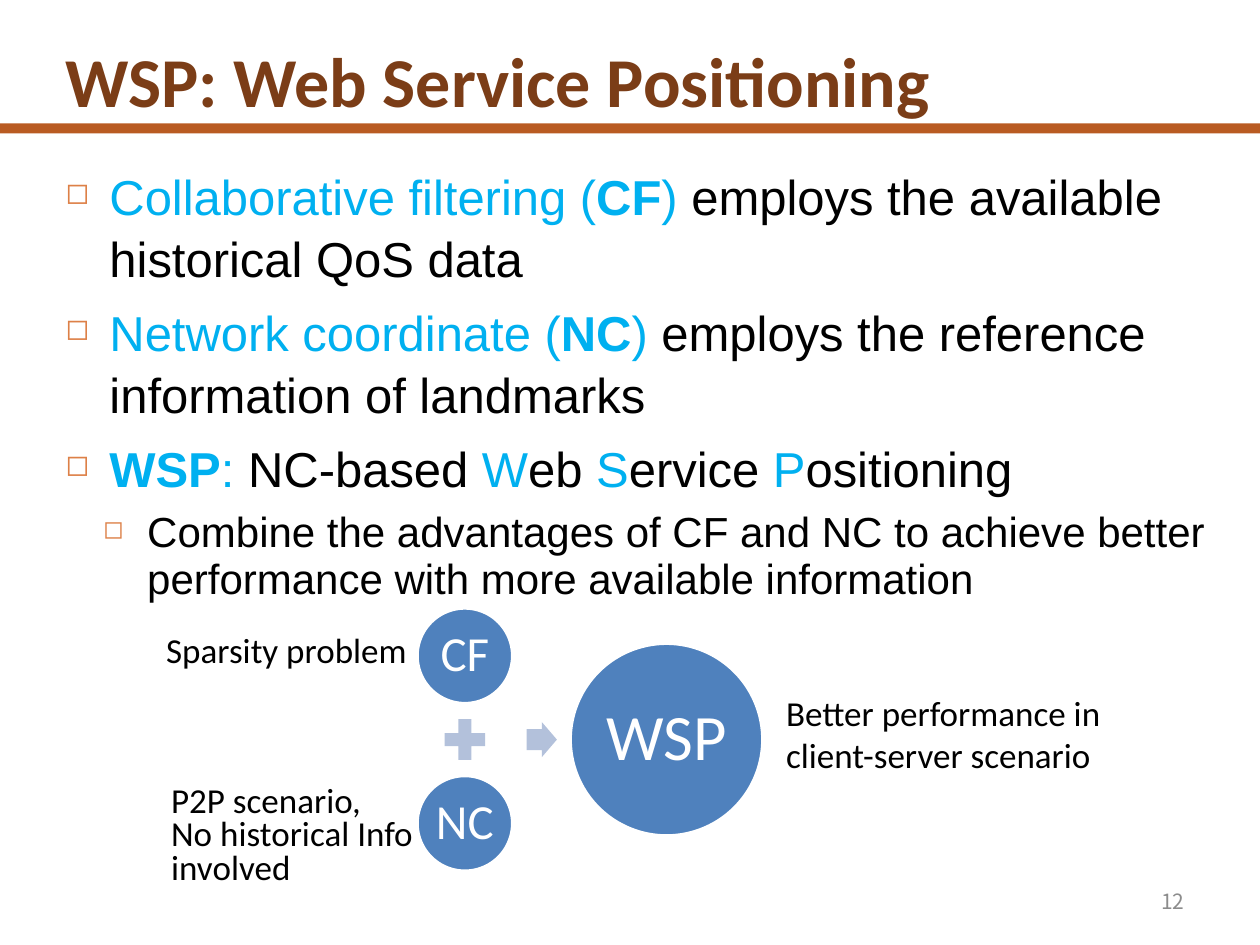
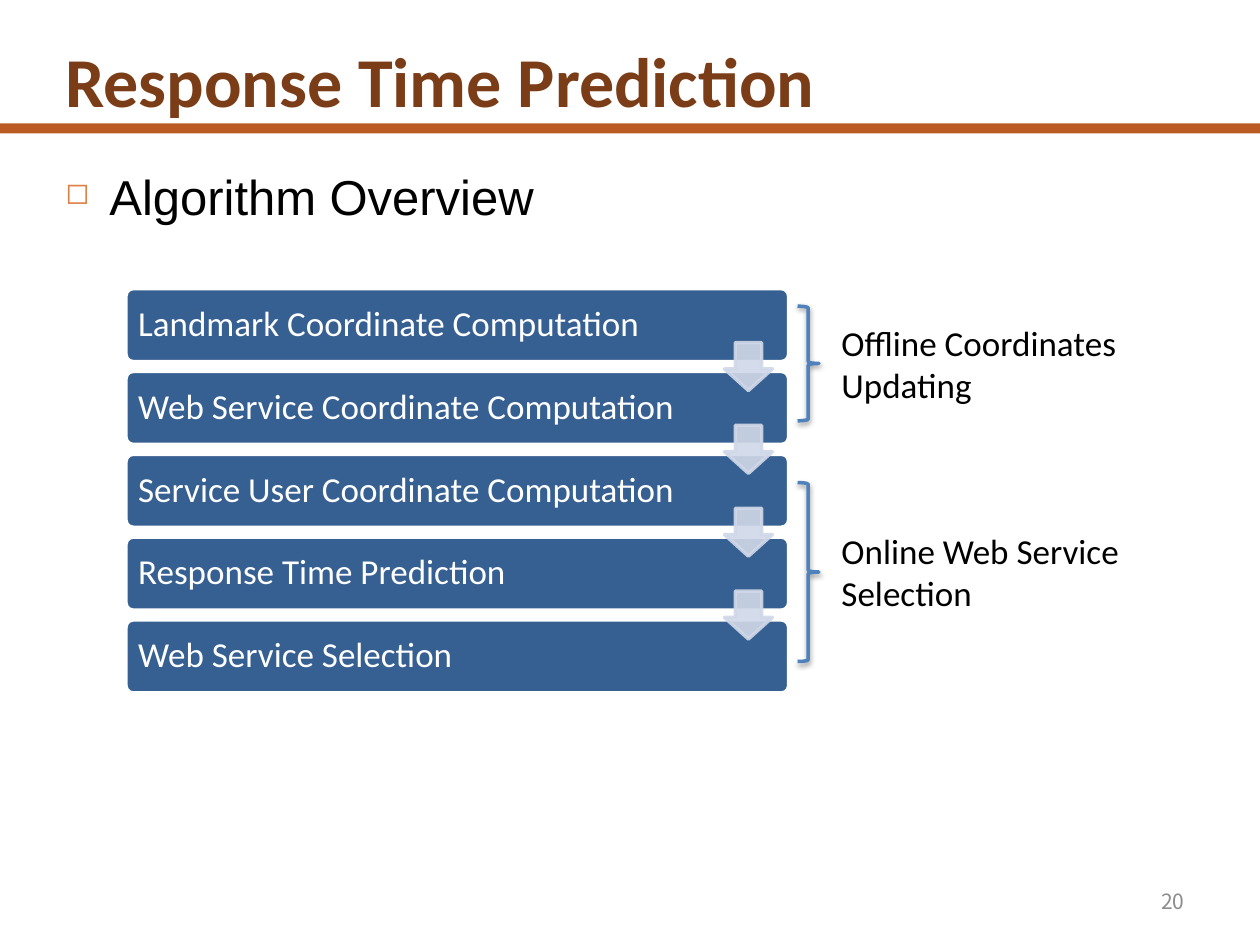
import pptx
import pptx.util
import pptx.dml.color
import pptx.enum.shapes
import pptx.enum.text
import pptx.oxml.ns
from lxml import etree

RGB = pptx.dml.color.RGBColor
Inches, Pt = pptx.util.Inches, pptx.util.Pt
SHAPE = pptx.enum.shapes.MSO_SHAPE
ALIGN = pptx.enum.text.PP_ALIGN
ANCHOR = pptx.enum.text.MSO_ANCHOR
qn = pptx.oxml.ns.qn

BLACK, WHITE = RGB(0, 0, 0), RGB(255, 255, 255)
BROWN, RUST, BULLET_ORANGE = RGB(0x7B, 0x3D, 0x17), RGB(0xB9, 0x5B, 0x22), RGB(0xDD, 0x80, 0x47)
CYAN, NUMBER_GREY = RGB(0, 0xB0, 0xF0), RGB(0x8C, 0x8C, 0x8C)
CIRCLE_BLUE, SIGN_BLUE = RGB(0x4F, 0x81, 0xBD), RGB(0xB3, 0xC1, 0xDB)
STEP_BLUE, ARROW_BLUE = RGB(0x37, 0x60, 0x92), RGB(0xD0, 0xD8, 0xE8)

WIDTH, HEIGHT = 10, 7.5
MARGIN, BODY_WIDTH = 0.42, 9.25
HANGING = 0.35

# Run styles: colour, bold
PLAIN, KEY, KEY_BOLD = (BLACK, False), (CYAN, False), (CYAN, True)
# Outline levels: text indent, size, line spacing
LEVELS = {1: (0.35, 28, 1.05), 2: (0.65, 24, 0.94)}

POSITIONING = {
    "title": "WSP: Web Service Positioning",
    "number": "12",
    "outline": [
        (1, [("Collaborative filtering (", KEY), ("CF", KEY_BOLD), (") ", KEY),
             ("employs the available historical QoS data", PLAIN)]),
        (1, [("Network coordinate (", KEY), ("NC", KEY_BOLD), (") ", KEY),
             ("employs the reference information of landmarks", PLAIN)]),
        (1, [("WSP", KEY_BOLD), (": ", KEY), ("NC-based ", PLAIN),
             ("W", KEY), ("eb ", PLAIN), ("S", KEY), ("ervice ", PLAIN),
             ("P", KEY), ("ositioning", PLAIN)]),
        (2, [("Combine the advantages of CF and NC to achieve better "
              "performance with more available information", PLAIN)]),
    ],
}
PREDICTION = {
    "title": "Response Time Prediction",
    "number": "20",
    "outline": [(1, [("Algorithm Overview", PLAIN)])],
}

# Equation diagram: centre line, column of inputs, then the result
EQUATION_Y, INPUT_X, INPUT_STEP = 5.87, 3.69, 0.665
INPUTS = ["CF", "NC"]
RESULT = "WSP"
REMARKS = [  # text, left, top, width, height, line spacing
    ("Sparsity problem", 1.22, 4.94, 2.33, 0.44, 1.0),
    ("P2P scenario,\nNo historical Info involved", 1.26, 6.19, 2.42, 0.91, 0.8),
    ("Better performance in client-server scenario", 6.14, 5.44, 3.08, 0.77, 1.0),
]

STEPS = [
    "Landmark Coordinate Computation",
    "Web Service Coordinate Computation",
    "Service User Coordinate Computation",
    "Response Time Prediction",
    "Web Service Selection",
]
STEP_LEFT, STEP_TOP, STEP_WIDTH, STEP_HEIGHT, STEP_PITCH = 1, 2.29, 5.26, 0.58, 0.6575
PHASES = [  # label, brace top, brace height
    ("Offline Coordinates Updating", 2.43, 0.91),
    ("Online Web Service Selection", 3.83, 1.42),
]


def style(paragraph, size, color, font="Calibri", bold=False):
    for run in paragraph.runs:
        run.font.size, run.font.name, run.font.bold = Pt(size), font, bold
        run.font.color.rgb = color


def add_text(slide, text, box, size, color, font="Calibri", bold=False,
             anchor=ANCHOR.TOP, align=ALIGN.LEFT, spacing=1.0):
    frame = slide.shapes.add_textbox(*map(Inches, box)).text_frame
    frame.word_wrap = True
    frame.vertical_anchor = anchor
    frame.text = text
    for paragraph in frame.paragraphs:
        paragraph.alignment = align
        paragraph.line_spacing = spacing
        style(paragraph, size, color, font, bold)


def add_figure(slide, kind, box, fill=None, line=None, adjust=()):
    figure = slide.shapes.add_shape(kind, *map(Inches, box))
    figure.shadow.inherit = False
    for index, value in enumerate(adjust):
        figure.adjustments[index] = value
    if fill is None:
        figure.fill.background()
    else:
        figure.fill.solid()
        figure.fill.fore_color.rgb = fill
    if line is None:
        figure.line.fill.background()
    else:
        figure.line.color.rgb = line
        figure.line.width = Pt(2)
    return figure


def label(figure, text, size, inset, align):
    frame = figure.text_frame
    frame.margin_left = frame.margin_right = Inches(inset)
    frame.margin_top = frame.margin_bottom = Inches(inset)
    frame.word_wrap = False
    frame.vertical_anchor = ANCHOR.MIDDLE
    frame.text = text
    paragraph = frame.paragraphs[0]
    paragraph.alignment = align
    paragraph.line_spacing = 0.9
    style(paragraph, size, WHITE)


def centred(x, y, width, height):
    """Box with its middle at x, y."""
    return x - width / 2, y - height / 2, width, height


def set_opacity(figure, percent):
    for color in figure._element.spPr.iter(qn("a:srgbClr")):
        etree.SubElement(color, qn("a:alpha"), val=str(percent * 1000))


def drop_shadow(figure):
    effects = figure._element.spPr.find(qn("a:effectLst"))
    shadow = etree.SubElement(effects, qn("a:outerShdw"), blurRad=str(Pt(3.1)),
                              dist=str(Pt(1.6)), dir="5400000", rotWithShape="0")
    color = etree.SubElement(shadow, qn("a:srgbClr"), val=str(BLACK))
    etree.SubElement(color, qn("a:alpha"), val="38000")


def add_bullet(paragraph, indent):
    properties = paragraph._p.get_or_add_pPr()
    properties.set("marL", str(Inches(indent)))
    properties.set("indent", str(-Inches(HANGING)))
    color = etree.SubElement(properties, qn("a:buClr"))
    etree.SubElement(color, qn("a:srgbClr"), val=str(BULLET_ORANGE))
    etree.SubElement(properties, qn("a:buSzPct"), val="60000")
    etree.SubElement(properties, qn("a:buChar"), char="◻")


def add_outline(slide, outline):
    box = MARGIN, 1.25, BODY_WIDTH, 5.9
    frame = slide.shapes.add_textbox(*map(Inches, box)).text_frame
    frame.word_wrap = True
    for index, (level, parts) in enumerate(outline):
        paragraph = frame.add_paragraph() if index else frame.paragraphs[0]
        indent, size, spacing = LEVELS[level]
        paragraph.level = level - 1
        paragraph.line_spacing = spacing
        paragraph.space_before = Pt(7)
        add_bullet(paragraph, indent)
        for text, (color, bold) in parts:
            run = paragraph.add_run()
            run.text = text
            run.font.size, run.font.name, run.font.bold = Pt(size), "Arial", bold
            run.font.color.rgb = color


def start_slide(deck, content):
    """Add a slide with band, title, outline and page number."""
    slide = deck.slides.add_slide(deck.slide_layouts[6])
    add_figure(slide, SHAPE.RECTANGLE, (0, 0.98, WIDTH, 0.08), RUST)
    add_text(slide, content["title"], (MARGIN, 0.25, BODY_WIDTH, 0.77), 40, BROWN,
             bold=True, anchor=ANCHOR.MIDDLE)
    add_outline(slide, content["outline"])
    add_text(slide, content["number"], (7.17, 6.95, 2.33, 0.4), 12, NUMBER_GREY,
             "Noto Sans CJK SC", anchor=ANCHOR.MIDDLE, align=ALIGN.RIGHT)
    return slide


def add_circle(slide, text, x, y, diameter, size):
    circle = add_figure(slide, SHAPE.OVAL, centred(x, y, diameter, diameter),
                        CIRCLE_BLUE, WHITE)
    label(circle, text, size, 0.04, ALIGN.CENTER)


def draw_equation(slide):
    for side, name in zip((-1, 1), INPUTS):
        add_circle(slide, name, INPUT_X, EQUATION_Y + side * INPUT_STEP, 0.76, 28)
    add_figure(slide, SHAPE.MATH_PLUS, centred(INPUT_X, EQUATION_Y, 0.44, 0.44), SIGN_BLUE)
    add_figure(slide, SHAPE.RIGHT_ARROW, centred(4.3, EQUATION_Y, 0.24, 0.28),
               SIGN_BLUE, adjust=(0.6, 0.5))
    add_circle(slide, RESULT, 5.29, EQUATION_Y, 1.53, 37)
    for text, left, top, width, height, spacing in REMARKS:
        add_text(slide, text, (left, top, width, height), 20, BLACK, spacing=spacing)


def draw_steps(slide):
    tops = [STEP_TOP + row * STEP_PITCH for row in range(len(STEPS))]
    for top, name in zip(tops, STEPS):
        step = add_figure(slide, SHAPE.ROUNDED_RECTANGLE,
                          (STEP_LEFT, top, STEP_WIDTH, STEP_HEIGHT),
                          STEP_BLUE, WHITE, (0.1,))
        label(step, name, 20, 0.08, ALIGN.LEFT)
    gap = STEP_PITCH - STEP_HEIGHT
    for top in tops[1:]:
        arrow = add_figure(slide, SHAPE.DOWN_ARROW, centred(5.94, top - gap / 2, 0.38, 0.38),
                           ARROW_BLUE, ARROW_BLUE, (0.55, 0.45))
        set_opacity(arrow, 90)


def draw_phases(slide):
    label_height = 0.77
    for text, top, height in PHASES:
        brace = add_figure(slide, SHAPE.RIGHT_BRACE, (6.33, top, 0.17, height),
                           line=CIRCLE_BLUE)
        drop_shadow(brace)
        label_top = top + (height - label_height) / 2
        add_text(slide, text, (6.58, label_top, 2.58, label_height), 20, BLACK)


def main():
    deck = pptx.Presentation()
    deck.slide_width, deck.slide_height = Inches(WIDTH), Inches(HEIGHT)
    draw_equation(start_slide(deck, POSITIONING))
    overview = start_slide(deck, PREDICTION)
    draw_steps(overview)
    draw_phases(overview)
    deck.save("out.pptx")


if __name__ == "__main__":
    main()
